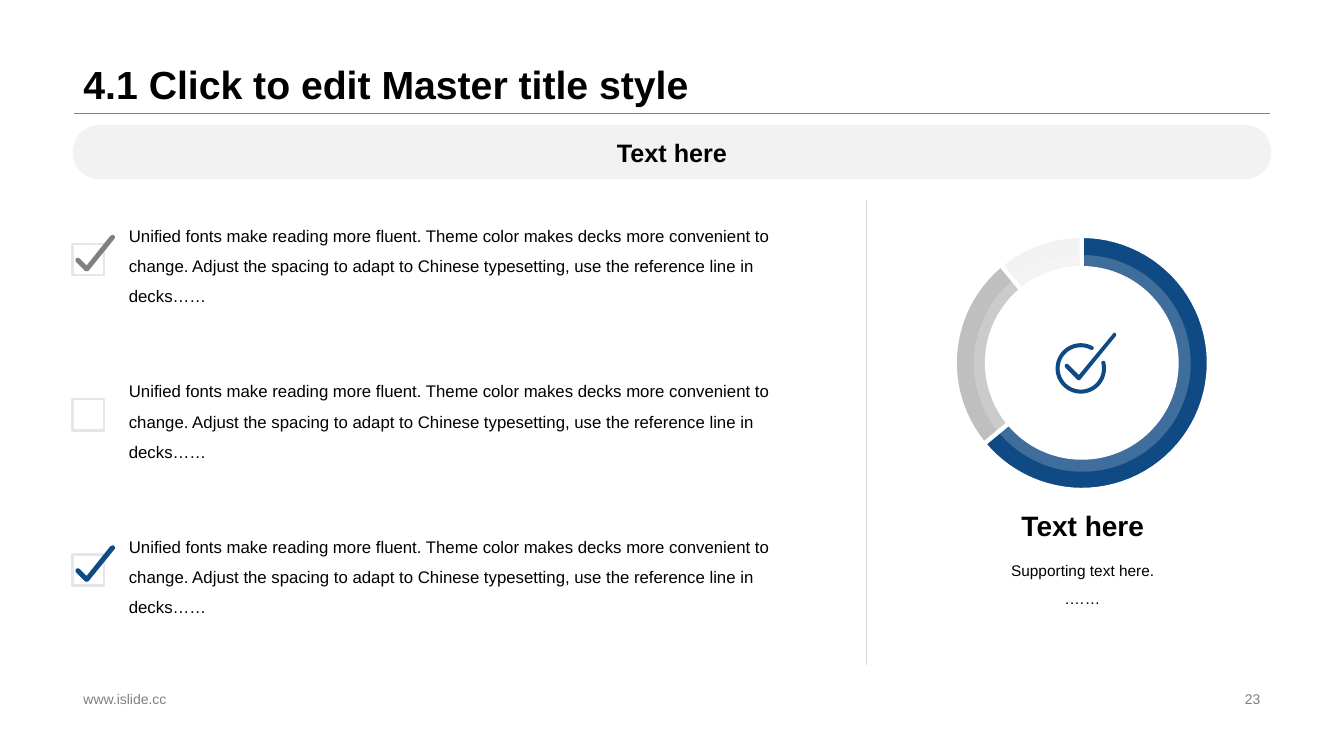
from math import cos, radians, sin

from lxml import etree
from pptx import Presentation
from pptx.dml.color import RGBColor
from pptx.enum.shapes import MSO_CONNECTOR, MSO_SHAPE
from pptx.enum.text import MSO_ANCHOR, PP_ALIGN
from pptx.oxml.ns import qn
from pptx.util import Inches, Pt

BLACK = RGBColor(0x00, 0x00, 0x00)
WHITE = RGBColor(0xFF, 0xFF, 0xFF)
BLUE = RGBColor(0x0F, 0x4A, 0x85)
GREY = RGBColor(0x80, 0x80, 0x80)
SILVER = RGBColor(0xBF, 0xBF, 0xBF)
RULE_GREY = RGBColor(0xD9, 0xD9, 0xD9)
PALE = RGBColor(0xF2, 0xF2, 0xF2)
BOX_EDGE = RGBColor(0xE4, 0xE6, 0xEA)

RECTANGLE = MSO_SHAPE.RECTANGLE
ROUNDED = MSO_SHAPE.ROUNDED_RECTANGLE
OVAL = MSO_SHAPE.OVAL
STRAIGHT = MSO_CONNECTOR.STRAIGHT
LEFT, CENTER, RIGHT = PP_ALIGN.LEFT, PP_ALIGN.CENTER, PP_ALIGN.RIGHT
TOP, MIDDLE, BOTTOM = MSO_ANCHOR.TOP, MSO_ANCHOR.MIDDLE, MSO_ANCHOR.BOTTOM

FONT = "Arial"
ADVICE = (
    "Unified fonts make reading more fluent. Theme color makes decks more "
    "convenient to change. Adjust the spacing to adapt to Chinese typesetting, "
    "use the reference line in decks……"
)
CHECKLIST_TOP = 2.06
ROW_STEP = 1.54
ROW_TICKS = [GREY, None, BLUE]
ROW_TICK = [
    (0.36, 0), (0.34, 0.01), (0.10, 0.31), (0.02, 0.23), (0, 0.23), (0, 0.25),
    (0.09, 0.34), (0.11, 0.34), (0.37, 0.02), (0.37, 0.01),
]
BADGE_TICK = [
    (11.05, 3.3), (11.07, 3.31), (11.07, 3.33), (10.72, 3.76), (10.71, 3.77),
    (10.69, 3.77), (10.57, 3.65), (10.56, 3.63), (10.57, 3.61), (10.59, 3.61),
    (10.7, 3.72), (11.04, 3.31),
]
RING_CENTER = (10.73, 3.6)
RING_OUTER, RING_INNER = 1.26, 0.94
RING_SHARES = [(0.64, BLUE), (0.25, SILVER), (0.11, PALE)]
BADGE_CENTER = (10.72, 3.655)
BADGE_RADIUS, BADGE_HALF_WIDTH = 0.23, 0.02
BADGE_START, BADGE_END = 76, 388


def write(shape, text, size, color=BLACK, bold=False, align=LEFT,
          anchor=MIDDLE, spacing=1.0, wrap=True):
    frame = shape.text_frame
    frame.text = text
    frame.word_wrap = wrap
    frame.vertical_anchor = anchor
    for paragraph in frame.paragraphs:
        paragraph.alignment = align
        paragraph.line_spacing = spacing
        for run in paragraph.runs:
            run.font.name = FONT
            run.font.size = Pt(size)
            run.font.bold = bold
            run.font.color.rgb = color


def add_text(slide, left, top, width, height, text, size, **style):
    box = slide.shapes.add_textbox(
        Inches(left), Inches(top), Inches(width), Inches(height))
    write(box, text, size, **style)


def paint(shape, fill, edge=None, edge_width=0):
    shape.shadow.inherit = False
    shape.fill.solid()
    shape.fill.fore_color.rgb = fill
    if edge is None:
        shape.line.fill.background()
    else:
        shape.line.color.rgb = edge
        shape.line.width = Pt(edge_width)


def add_preset(slide, preset, left, top, width, height, fill, edge=None, edge_width=0):
    shape = slide.shapes.add_shape(
        preset, Inches(left), Inches(top), Inches(width), Inches(height))
    paint(shape, fill, edge, edge_width)
    return shape


def add_rule(slide, x1, y1, x2, y2, color):
    rule = slide.shapes.add_connector(
        STRAIGHT, Inches(x1), Inches(y1), Inches(x2), Inches(y2))
    rule.line.color.rgb = color
    rule.line.width = Pt(0.25)
    etree.SubElement(rule._element.spPr, qn("a:effectLst"))


def add_outline(slide, contours, fill, edge=None, edge_width=0):
    points = [[(Inches(x), Inches(y)) for x, y in contour] for contour in contours]
    builder = slide.shapes.build_freeform(*points[0][0])
    builder.add_line_segments(points[0][1:])
    for contour in points[1:]:
        builder.move_to(*contour[0])
        builder.add_line_segments(contour[1:])
    paint(builder.convert_to_shape(), fill, edge, edge_width)


def polar(center, radius, angle):
    turn = radians(angle)
    return center[0] + radius * sin(turn), center[1] - radius * cos(turn)


def arc(center, radius, start, end, steps=60):
    return [polar(center, radius, start + (end - start) * i / steps)
            for i in range(steps + 1)]


def add_ring(slide):
    start = 0
    for share, color in RING_SHARES:
        end = start + 360 * share
        segment = (arc(RING_CENTER, RING_OUTER, start, end)
                   + arc(RING_CENTER, RING_INNER, end, start))
        add_outline(slide, [segment], color, WHITE, 3)
        start = end
    veil = add_preset(slide, OVAL, 9.66, 2.53, 2.15, 2.15, WHITE)
    white = veil._element.spPr.find(qn("a:solidFill"))[0]
    etree.SubElement(white, qn("a:alpha")).set("val", "20000")


def add_badge(slide):
    end_cap = polar(BADGE_CENTER, BADGE_RADIUS, BADGE_END)
    start_cap = polar(BADGE_CENTER, BADGE_RADIUS, BADGE_START)
    outer = BADGE_RADIUS + BADGE_HALF_WIDTH
    inner = BADGE_RADIUS - BADGE_HALF_WIDTH
    open_circle = (
        arc(BADGE_CENTER, outer, BADGE_START, BADGE_END)
        + arc(end_cap, BADGE_HALF_WIDTH, BADGE_END, BADGE_END + 180, 8)
        + arc(BADGE_CENTER, inner, BADGE_END, BADGE_START)
        + arc(start_cap, BADGE_HALF_WIDTH, BADGE_START + 180, BADGE_START + 360, 8)
    )
    add_outline(slide, [open_circle, BADGE_TICK], BLUE)


def add_checklist_row(slide, top, tick_color):
    add_preset(slide, RECTANGLE, 0.72, top + 0.36, 0.31, 0.31, WHITE, BOX_EDGE, 1.75)
    add_text(slide, 1.18, top, 7.04, 1.06, ADVICE, 12, spacing=1.5)
    if tick_color is not None:
        tick = [(0.76 + x, top + 0.28 + y) for x, y in ROW_TICK]
        add_outline(slide, [tick], tick_color, tick_color, 1.5)


def main():
    prs = Presentation()
    prs.slide_width = Inches(13.33)
    prs.slide_height = Inches(7.5)
    slide = prs.slides.add_slide(prs.slide_layouts[6])

    add_rule(slide, 0.73, 1.12, 12.6, 1.12, GREY)
    add_text(slide, 0.73, 0, 11.87, 1.12, "4.1 Click to edit Master title style", 28,
             bold=True, anchor=BOTTOM, spacing=0.9)
    add_text(slide, 0.73, 6.82, 4.53, 0.23, "www.islide.cc", 10, color=GREY)
    add_text(slide, 9.42, 6.82, 3.18, 0.23, "23", 10, color=GREY, align=RIGHT)

    add_ring(slide)
    add_badge(slide)

    banner = add_preset(slide, ROUNDED, 0.72, 1.24, 11.89, 0.54, PALE)
    banner.adjustments[0] = 0.5
    write(banner, "Text here", 18, bold=True, align=CENTER, wrap=False)
    add_rule(slide, 8.59, 1.98, 8.59, 6.6, RULE_GREY)

    add_text(slide, 8.91, 4.92, 3.66, 0.51, "Text here", 20,
             bold=True, align=CENTER, anchor=BOTTOM, wrap=False)
    add_text(slide, 8.91, 5.43, 3.66, 0.77, "Supporting text here.\n.……", 11,
             align=CENTER, anchor=TOP, spacing=1.5)

    for row, tick_color in enumerate(ROW_TICKS):
        add_checklist_row(slide, CHECKLIST_TOP + row * ROW_STEP, tick_color)

    prs.save("out.pptx")


if __name__ == "__main__":
    main()
